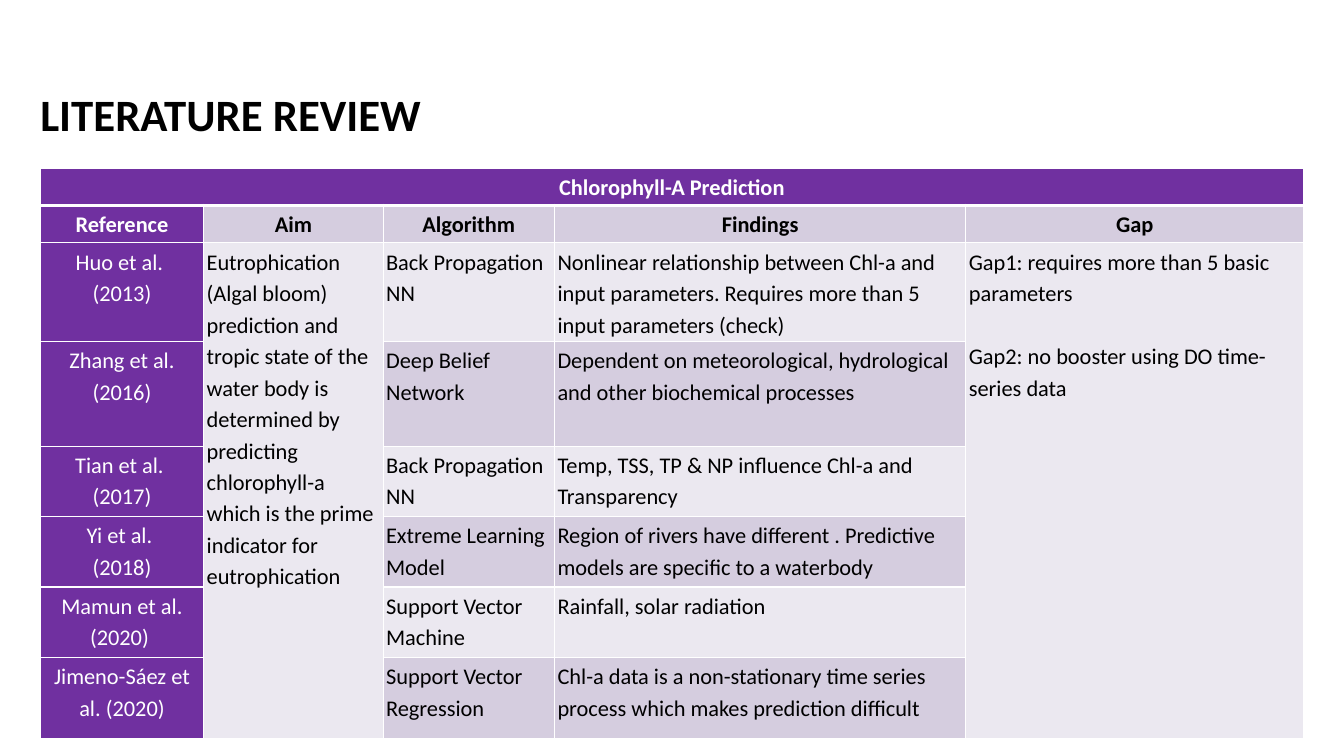
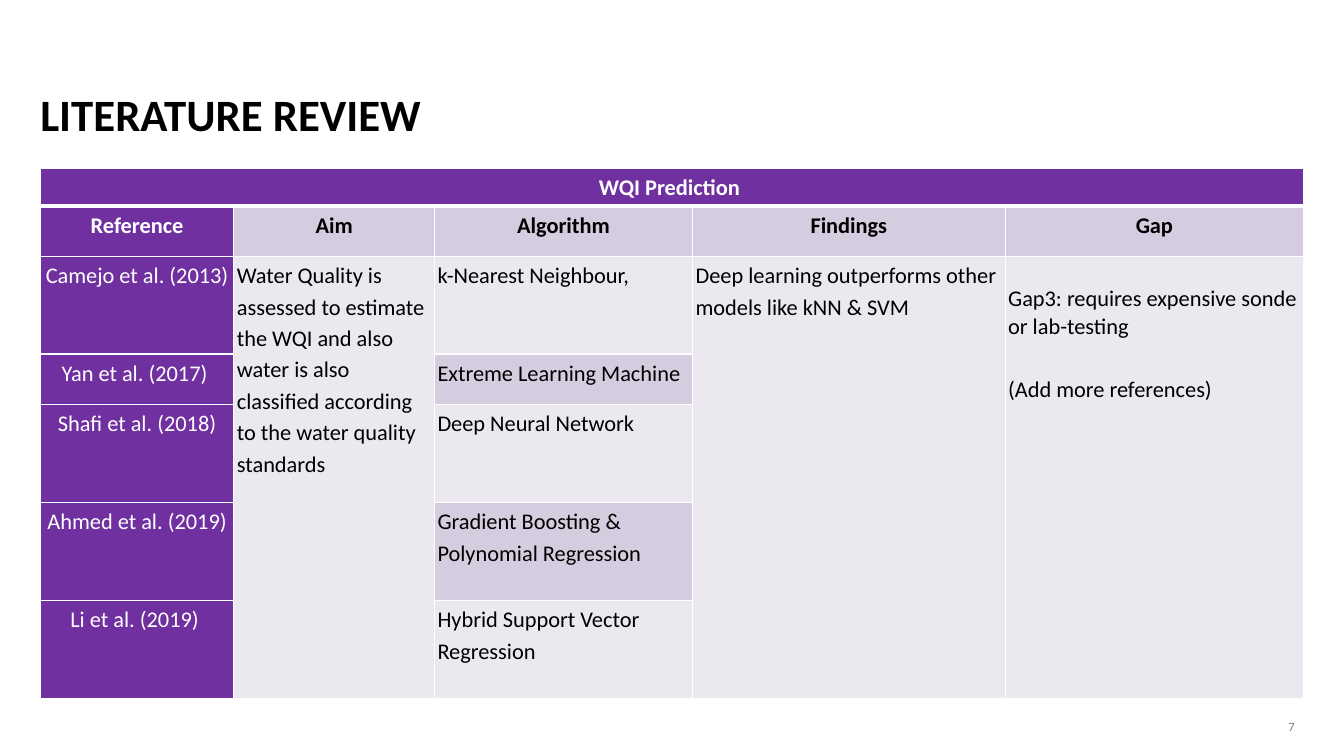
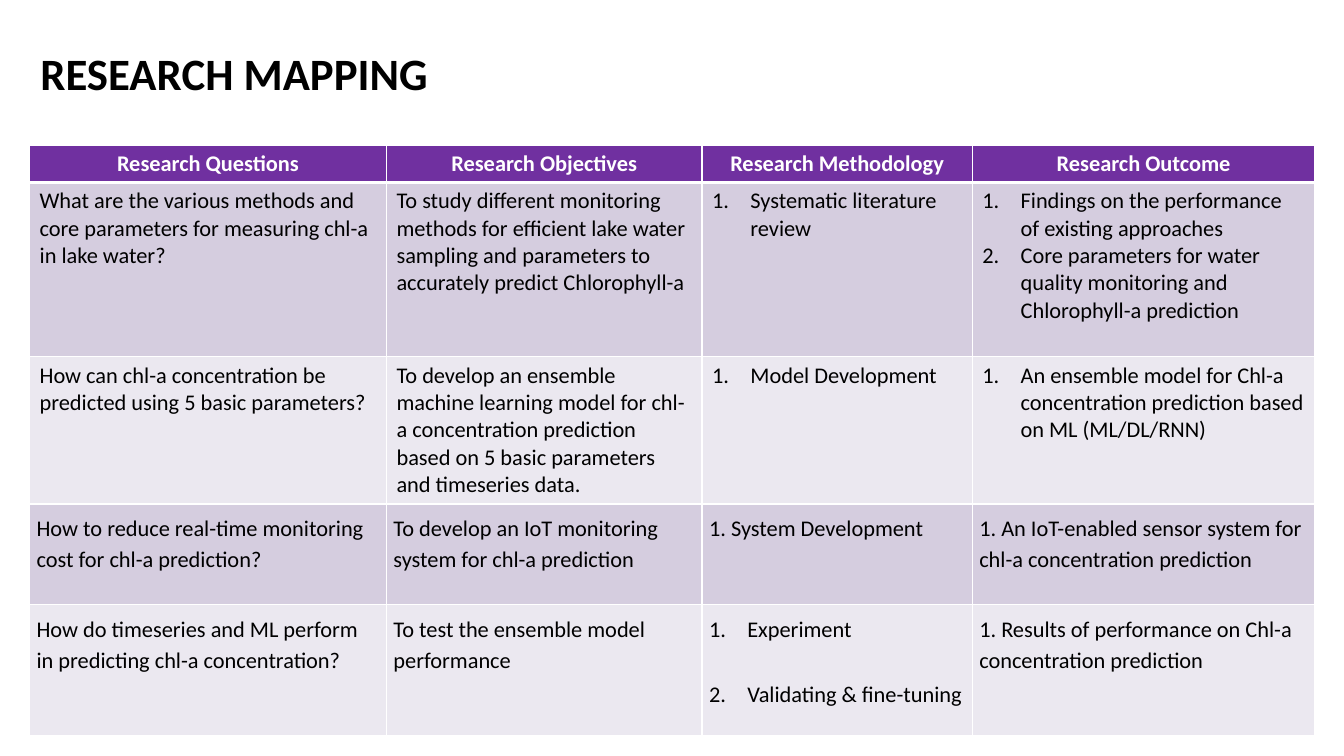
import pptx
import pptx.dml.color
import pptx.enum.text
import pptx.oxml
import pptx.oxml.ns
import pptx.util
from dataclasses import dataclass
from functools import partial
from typing import Optional

RGBColor = pptx.dml.color.RGBColor
Align = pptx.enum.text.PP_ALIGN
Anchor = pptx.enum.text.MSO_ANCHOR
Inches = pptx.util.Inches
Pt = pptx.util.Pt

PURPLE = RGBColor(0x70, 0x30, 0xA0)
LIGHT = RGBColor(0xEB, 0xE8, 0xF0)
MID = RGBColor(0xD5, 0xCD, 0xDF)
WHITE = RGBColor(0xFF, 0xFF, 0xFF)
BLACK = RGBColor(0, 0, 0)
GREY = RGBColor(0x7F, 0x7F, 0x7F)
BANDS = (LIGHT, MID)
FONT = "Calibri"
BODY_SIZE = 16
WIDTH, HEIGHT = Inches(13.33), Inches(7.5)
BLANK_LINE = 22.5
NUMBER_INDENT = Inches(0.38)


@dataclass(frozen=True)
class Box:
    """Percentages of the slide's width and height."""
    left: float
    top: float
    width: float
    height: float

    def emu(self) -> tuple[int, int, int, int]:
        return (int(WIDTH * self.left / 100), int(HEIGHT * self.top / 100),
                int(WIDTH * self.width / 100), int(HEIGHT * self.height / 100))


@dataclass(frozen=True)
class Cell:
    lines: tuple[str, ...]
    pad_x: float = 0.1
    pad_y: float = 0.05
    pad_top: Optional[float] = None
    spacing: float = 1.0
    lead_spacing: Optional[float] = None
    gap: float = 0
    numbered: bool = False


@dataclass(frozen=True)
class Table:
    box: Box
    columns: tuple[float, ...]
    rows: tuple[float, ...]
    grid: list[list[Optional[Cell]]]
    header_rows: int = 1
    key_columns: int = 0


@dataclass(frozen=True)
class Page:
    title: str
    title_box: Box
    table: Table
    number: str = ""


REVIEW_TITLE = Box(3, 3.6, 94, 15.07)
MAPPING_TITLE = Box(3, 5.47, 94, 7.73)
NUMBER_BOX = Box(74.57, 94.27, 22.5, 3.6)
review_cell = partial(Cell, pad_x=0.03, pad_y=0.02, spacing=1.15)
loose_cell = partial(Cell, pad_x=0.07, pad_y=0.07, spacing=1.15)


def add_run(p, text: str, size: float, color: RGBColor, bold: bool = False) -> None:
    r = p.add_run()
    r.text = text
    r.font.name = FONT
    r.font.size = Pt(size)
    r.font.bold = bold
    r.font.color.rgb = color


def add_text(slide, box: Box, text: str, size: float, color: RGBColor, bold: bool,
             anchor, align, spacing: float, pad: float) -> None:
    sp = slide.shapes.add_textbox(*box.emu())
    tf = sp.text_frame
    tf.word_wrap = True
    tf.vertical_anchor = anchor
    tf.margin_left = tf.margin_right = Inches(pad)
    tf.margin_top = tf.margin_bottom = Inches(pad / 2)
    p = tf.paragraphs[0]
    p.alignment = align
    p.line_spacing = spacing
    add_run(p, text, size, color, bold)


def set_borders(cell, top: float, bottom: float) -> None:
    tc_pr = cell._tc.get_or_add_tcPr()
    for side, width in (("L", 1), ("R", 1), ("T", top), ("B", bottom)):
        tc_pr.append(pptx.oxml.parse_xml(
            f'<a:ln{side} {pptx.oxml.ns.nsdecls("a")} w="{int(Pt(width))}">'
            f'<a:solidFill><a:srgbClr val="{WHITE}"/></a:solidFill></a:ln{side}>'))


def number_paragraph(p) -> None:
    p_pr = p._p.get_or_add_pPr()
    p_pr.set("marL", str(int(NUMBER_INDENT)))
    p_pr.set("indent", str(-int(NUMBER_INDENT)))
    p_pr.append(pptx.oxml.parse_xml(
        f'<a:buAutoNum {pptx.oxml.ns.nsdecls("a")} type="arabicPeriod"/>'))


def fill_cell(cell, content: Cell, color: RGBColor, bold: bool, align) -> None:
    cell.margin_left = cell.margin_right = Inches(content.pad_x)
    cell.margin_bottom = Inches(content.pad_y)
    cell.margin_top = Inches(content.pad_top or content.pad_y)
    tf = cell.text_frame
    for i, line in enumerate(content.lines):
        p = tf.add_paragraph() if i else tf.paragraphs[0]
        if content.numbered:
            number_paragraph(p)
        p.alignment = align
        p.line_spacing = content.spacing if i else content.lead_spacing or content.spacing
        if i and content.gap:
            p.space_before = Pt(content.gap)
        add_run(p, line, BODY_SIZE, color, bold)


def share(total: int, weights: tuple[float, ...]) -> list[int]:
    return [int(total * w / sum(weights)) for w in weights]


def add_table(slide, table: Table) -> None:
    left, top, width, height = table.box.emu()
    tbl = slide.shapes.add_table(len(table.rows), len(table.columns),
                                 left, top, width, height).table
    tbl.first_row = tbl.horz_banding = False
    for column, size in zip(tbl.columns, share(width, table.columns)):
        column.width = size
    for row, size in zip(tbl.rows, share(height, table.rows)):
        row.height = size
    for r, row in enumerate(table.grid):
        for c, content in enumerate(row):
            cell = tbl.cell(r, c)
            strong = r == 0 or c < table.key_columns
            header = r < table.header_rows
            set_borders(cell, 3 if r == 1 else 1, 3 if r == 0 else 1)
            cell.fill.solid()
            cell.fill.fore_color.rgb = PURPLE if strong else BANDS[r % 2]
            if content:
                fill_cell(cell, content, WHITE if strong else BLACK, header,
                          Align.CENTER if strong or header else Align.LEFT)
    merge_gaps(tbl, table.grid)


def merge_gaps(tbl, grid: list[list[Optional[Cell]]]) -> None:
    for r, row in enumerate(grid):
        for c, content in enumerate(row):
            if content is None:
                continue
            last_row, last_col = r, c
            if r == 0:
                while last_col + 1 < len(row) and row[last_col + 1] is None:
                    last_col += 1
            else:
                while last_row + 1 < len(grid) and grid[last_row + 1][c] is None:
                    last_row += 1
            if (last_row, last_col) != (r, c):
                tbl.cell(r, c).merge(tbl.cell(last_row, last_col))


def review_grid(topic: str, body: list[tuple]) -> list[list[Optional[Cell]]]:
    headings = ("Reference", "Aim", "Algorithm", "Findings", "Gap")
    rows = [(topic, None, None, None, None), headings, *body]
    return [[review_cell((v,)) if isinstance(v, str) else v for v in row] for row in rows]


CHLOROPHYLL = review_grid("Chlorophyll-A Prediction", [
    (review_cell(("Huo et al. ", "(2013)")),
     "Eutrophication (Algal bloom) prediction and tropic state of the water body is "
     "determined by predicting chlorophyll-a which is the prime indicator for eutrophication",
     "Back Propagation NN",
     "Nonlinear relationship between Chl-a and input parameters. "
     "Requires more than 5 input parameters (check)",
     review_cell(("Gap1: requires more than 5 basic parameters",
                  "Gap2: no booster using DO time-series data"), gap=BLANK_LINE)),
    ("Zhang et al. (2016)", None, "Deep Belief Network",
     "Dependent on meteorological, hydrological and other biochemical processes", None),
    (review_cell(("Tian et al. ", "(2017)")), None, "Back Propagation NN",
     "Temp, TSS, TP & NP influence Chl-a and Transparency", None),
    (review_cell(("Yi et al. ", "(2018)")), None, "Extreme Learning Model",
     "Region of rivers have different . Predictive models are specific to a waterbody", None),
    ("Mamun et al. (2020) ", None, "Support Vector Machine",
     "Rainfall, solar radiation", None),
    ("Jimeno-Sáez et al. (2020)", None, "Support Vector Regression",
     "Chl-a data is a non-stationary time series process which makes prediction difficult",
     None),
])

WATER_QUALITY = review_grid("WQI Prediction ", [
    ("Camejo et al. (2013)",
     "Water Quality is assessed to estimate the WQI and also water is also classified "
     "according to the water quality standards",
     "k-Nearest Neighbour,",
     "Deep learning outperforms other models like kNN & SVM",
     review_cell(("Gap3: requires expensive sonde or lab-testing", "(Add more references)"),
                 pad_top=0.29, lead_spacing=1.0, gap=BLANK_LINE)),
    ("Yan et al. (2017) ", None, "Extreme Learning Machine", None, None),
    ("Shafi et al. (2018)", None, "Deep Neural Network", None, None),
    ("Ahmed et al. (2019)", None, "Gradient Boosting & Polynomial Regression", None, None),
    ("Li et al. (2019) ", None, "Hybrid Support Vector Regression", None, None),
])

MAPPING = [
    [Cell((f"Research {name}",))
     for name in ("Questions", "Objectives", "Methodology", "Outcome")],
    [Cell(("What are the various methods and core parameters for measuring chl-a "
           "in lake water?",)),
     Cell(("To study different monitoring methods for efficient lake water sampling "
           "and parameters to accurately predict Chlorophyll-a",)),
     Cell(("Systematic literature review",), numbered=True),
     Cell(("Findings on the performance of existing approaches",
           "Core parameters for water quality monitoring and Chlorophyll-a prediction"),
          numbered=True)],
    [Cell(("How can chl-a concentration be predicted using 5 basic parameters?",)),
     Cell(("To develop an ensemble machine learning model for chl-a concentration "
           "prediction based on 5 basic parameters and timeseries data.",)),
     Cell(("Model Development",), numbered=True),
     Cell(("An ensemble model for Chl-a concentration prediction based on ML (ML/DL/RNN)",),
          numbered=True)],
    [loose_cell(("How to reduce real-time monitoring cost for chl-a prediction?",)),
     loose_cell(("To develop an IoT monitoring system for chl-a prediction",)),
     loose_cell(("1. System Development",)),
     loose_cell(("1. An IoT-enabled sensor system for chl-a concentration prediction",))],
    [loose_cell(("How do timeseries and ML perform in predicting chl-a concentration?",)),
     loose_cell(("To test the ensemble model performance",)),
     loose_cell(("Experiment", "Validating & fine-tuning"), numbered=True, gap=24),
     loose_cell(("1. Results of performance on Chl-a concentration prediction",))],
]

PAGES = [
    Page("LITERATURE REVIEW", REVIEW_TITLE,
         Table(Box(3, 22.27, 94, 75.5), (1.62, 1.78, 1.7, 4.08, 3.35),
               (0.37, 0.37, 0.98, 1.04, 0.7, 0.7, 0.7, 0.81), CHLOROPHYLL, 2, 1)),
    Page("LITERATURE REVIEW", REVIEW_TITLE,
         Table(Box(3, 22.27, 94, 70.1), (1.92, 1.99, 2.56, 3.1, 2.96),
               (0.37, 0.5, 0.97, 0.5, 0.97, 0.97, 0.97), WATER_QUALITY, 2, 1), "7"),
    Page("RESEARCH MAPPING", MAPPING_TITLE,
         Table(Box(2.2, 19.2, 95.65, 78.13), (3.54, 3.13, 2.68, 3.4),
               (0.37, 1.73, 1.46, 1, 1.3), MAPPING)),
]


def main() -> None:
    prs = pptx.Presentation()
    prs.slide_width, prs.slide_height = WIDTH, HEIGHT
    for page in PAGES:
        slide = prs.slides.add_slide(prs.slide_layouts[6])
        add_text(slide, page.title_box, page.title, 32, BLACK, True,
                 Anchor.BOTTOM, Align.LEFT, 0.9, 0)
        if page.number:
            add_text(slide, NUMBER_BOX, page.number, 9, GREY, False,
                     Anchor.MIDDLE, Align.RIGHT, 1.0, 0.1)
        add_table(slide, page.table)
    prs.save("out.pptx")


if __name__ == "__main__":
    main()
